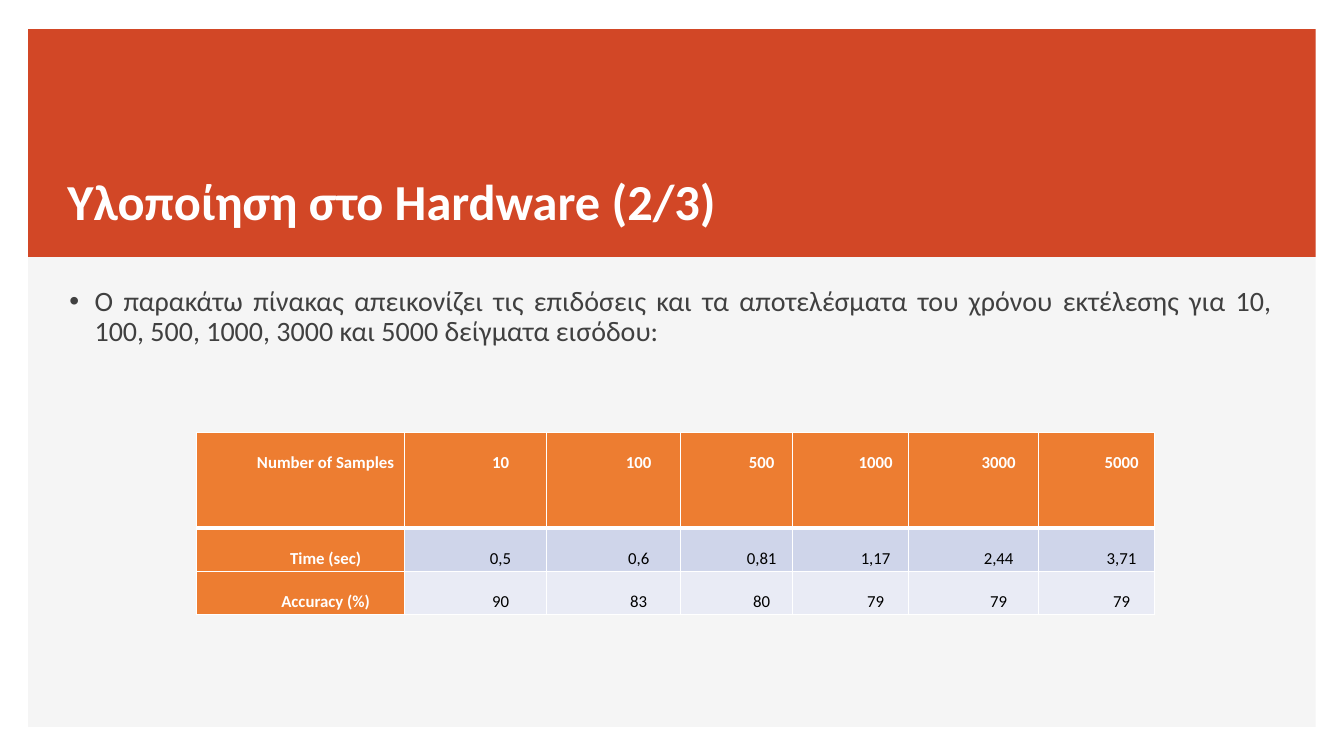
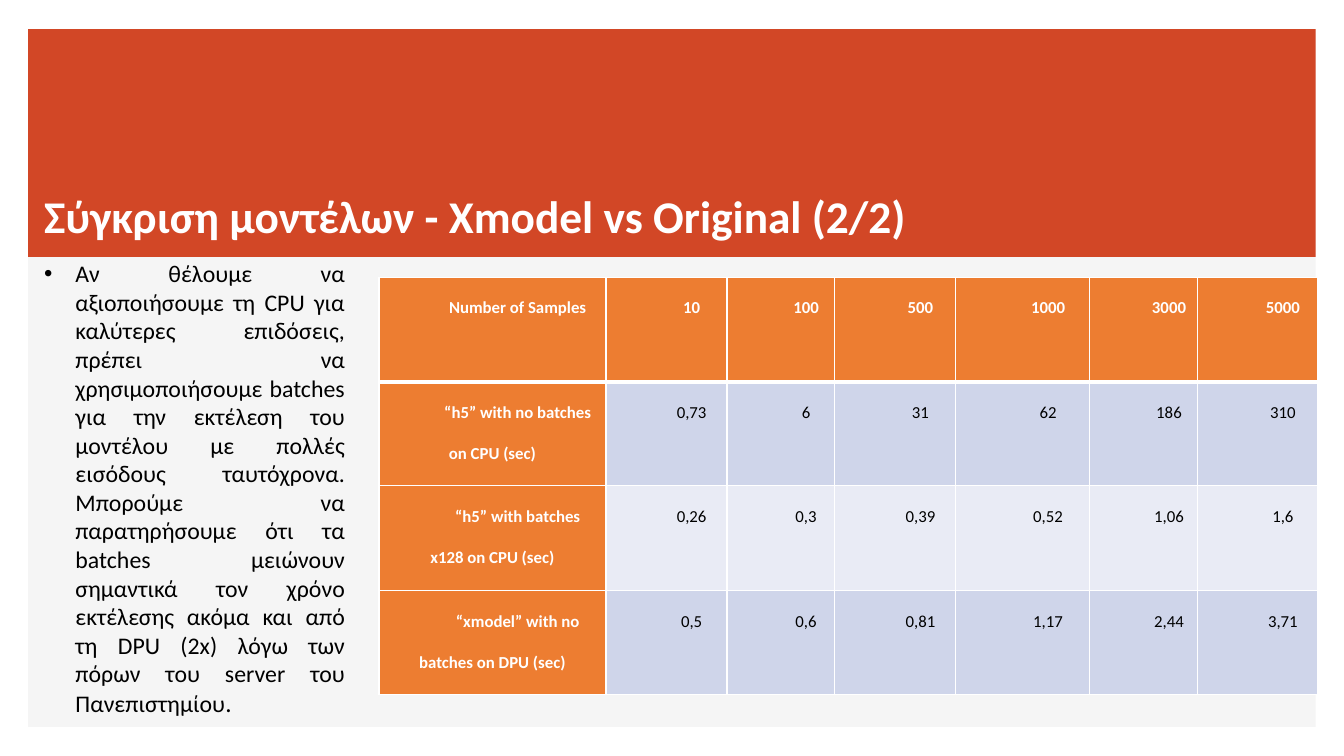
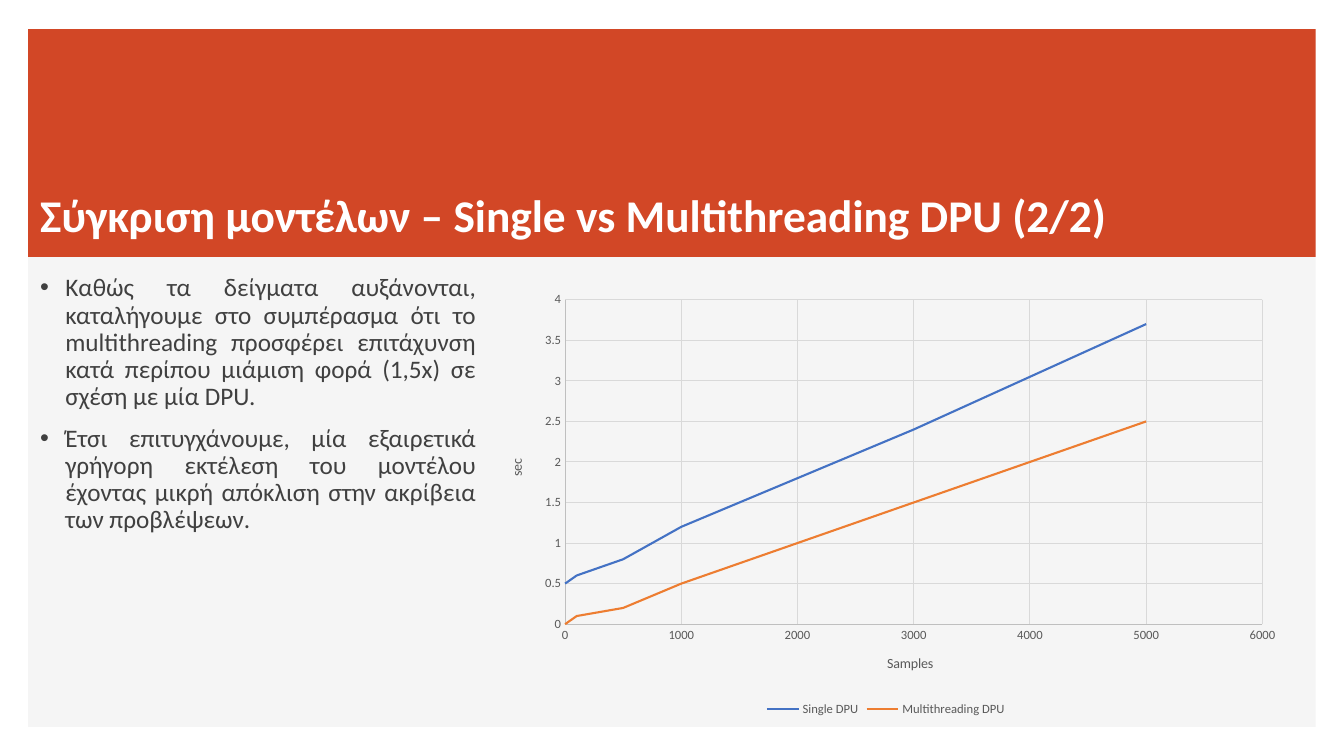
import pptx
import pptx.chart.data
import pptx.dml.color
import pptx.enum.chart
import pptx.enum.shapes
import pptx.enum.text
import pptx.oxml
import pptx.oxml.ns
import pptx.util
from lxml import etree
from pptx.util import Inches, Pt

FONT = "Calibri"
WHITE, BLACK, BODY_GREY, CHART_GREY = "FFFFFF", "000000", "404040", "595959"
PANEL, BAND = "F5F5F5", "D24726"
BLUE, ORANGE = "4472C4", "ED7D31"
ROW_TINTS = ["CFD5EA", "E9EBF5"]
AXIS_LINE, GRID_LINE = "BFBFBF", "D9D9D9"

color = pptx.dml.color.RGBColor.from_string
qn = pptx.oxml.ns.qn
ALIGN = pptx.enum.text.PP_ALIGN
ANCHOR = pptx.enum.text.MSO_ANCHOR


def add_run(paragraph, text, size, ink, bold=False):
    span = paragraph.add_run()
    span.text = text
    span.font.name = FONT
    span.font.size = Pt(size)
    span.font.bold = bold
    span.font.color.rgb = color(ink)


def set_indent(paragraph, left, first_line, bullet=None):
    """Set the left margin and first-line indent in inches, and the bullet sign."""
    properties = paragraph._p.get_or_add_pPr()
    properties.set("marL", str(Inches(left)))
    properties.set("indent", str(Inches(first_line)))
    if bullet:
        etree.SubElement(properties, qn("a:buFont")).set("typeface", "Arial")
        etree.SubElement(properties, qn("a:buChar")).set("char", bullet)


deck = pptx.Presentation()
deck.slide_width, deck.slide_height = Inches(13.33), Inches(7.5)

# Each slide: title, its place and size; then the bullets, each a list of (text, size)
pages = [
    {
        "title": "Υλοποίηση στο Hardware (2/3)",
        "title_at": (0.57, 1.68, 9.84, 0.7), "title_size": 36,
        "body_at": (0.59, 2.8, 12.13, 4.35),
        "ink": BODY_GREY, "indent": 0.25, "spacing": 0.9,
        "bullets": [[(
            "Ο παρακάτω πίνακας απεικονίζει τις επιδόσεις και τα αποτελέσματα του "
            "χρόνου εκτέλεσης για 10, 100, 500, 1000, 3000 και 5000 δείγματα εισόδου:", 20)]],
    },
    {
        "title": "Σύγκριση μοντέλων - Xmodel vs Original (2/2)",
        "title_at": (0.34, 1.82, 8.93, 0.7), "title_size": 32.4,
        "body_at": (0.34, 2.52, 3.18, 4.7),
        "ink": BLACK, "indent": 0.31, "spacing": 1.0,
        "bullets": [[(
            "Αν θέλουμε να αξιοποιήσουμε τη CPU για καλύτερες επιδόσεις, πρέπει να "
            "χρησιμοποιήσουμε batches για την εκτέλεση του μοντέλου με πολλές εισόδους "
            "ταυτόχρονα. Μπορούμε να παρατηρήσουμε ότι τα batches μειώνουν σημαντικά τον "
            "χρόνο εκτέλεσης ακόμα και από τη DPU (2x) λόγω των πόρων του server του "
            "Πανεπιστημίου", 17), (".", 18)]],
    },
    {
        "title": "Σύγκριση μοντέλων – Single vs Multithreading DPU (2/2)",
        "title_at": (0.3, 1.81, 10.87, 0.7), "title_size": 32.4,
        "body_at": (0.3, 2.68, 4.52, 4.82),
        "ink": BODY_GREY, "indent": 0.25, "spacing": 0.9,
        "bullets": [
            [("Καθώς τα δείγματα αυξάνονται, καταλήγουμε στο συμπέρασμα ότι το "
              "multithreading προσφέρει επιτάχυνση κατά περίπου μιάμιση φορά (1,5x) σε "
              "σχέση με μία DPU.", 18)],
            [("Έτσι επιτυγχάνουμε, μία εξαιρετικά γρήγορη εκτέλεση του μοντέλου έχοντας "
              "μικρή απόκλιση στην ακρίβεια των προβλέψεων.", 18)],
        ],
    },
]

slides = []
for page in pages:
    slide = deck.slides.add_slide(deck.slide_layouts[6])
    slides.append(slide)
    for height, fill in [(6.92, PANEL), (2.26, BAND)]:
        panel = slide.shapes.add_shape(
            pptx.enum.shapes.MSO_SHAPE.RECTANGLE,
            Inches(0.28), Inches(0.29), Inches(12.77), Inches(height))
        panel.shadow.inherit = False
        panel.fill.solid()
        panel.fill.fore_color.rgb = color(fill)
        panel.line.fill.background()

    title = slide.shapes.add_textbox(*map(Inches, page["title_at"])).text_frame
    title.word_wrap = True
    title.vertical_anchor = ANCHOR.MIDDLE
    title.paragraphs[0].line_spacing = 0.9
    add_run(title.paragraphs[0], page["title"], page["title_size"], WHITE, bold=True)

    body = slide.shapes.add_textbox(*map(Inches, page["body_at"])).text_frame
    body.word_wrap = True
    for index, bullet in enumerate(page["bullets"]):
        para = body.add_paragraph() if index else body.paragraphs[0]
        para.alignment = ALIGN.JUSTIFY
        para.line_spacing = page["spacing"]
        para.space_before = Pt(10 if index else 0)
        set_indent(para, page["indent"], -page["indent"], "•")
        for text, size in bullet:
            add_run(para, text, size, page["ink"])

# Tables of run times
header = ["Number of Samples", "10", "100", "500", "1000", "3000", "5000"]
dpu_times = ["0,5", "0,6", "0,81", "1,17", "2,44", "3,71"]
tables = [
    (slides[0], (1.95, 4.29),
     [2.06, 1.41, 1.33, 1.11, 1.15, 1.29, 1.15], [0.95, 0.43, 0.43],
     [header,
      ["Time (sec)"] + dpu_times,
      ["Accuracy (%)", "90", "83", "80", "79", "79", "79"]]),
    (slides[1], (3.76, 2.75),
     [2.25, 1.2, 1.07, 1.2, 1.33, 1.07, 1.19], [1.04, 1.03, 1.04, 1.03],
     [header,
      ["“h5” with no batches on CPU (sec)", "0,73", "6", "31", "62", "186", "310"],
      ["“h5” with batches x128 on CPU (sec)", "0,26", "0,3", "0,39", "0,52", "1,06", "1,6"],
      ["“xmodel” with no batches on DPU (sec)"] + dpu_times]),
]
for slide, (left, top), widths, heights, rows in tables:
    table = slide.shapes.add_table(
        len(rows), len(widths), Inches(left), Inches(top),
        Inches(sum(widths)), Inches(sum(heights))).table
    table.horz_banding = False
    for column, width in zip(table.columns, widths):
        column.width = Inches(width)
    for row_index, (row, height) in enumerate(zip(rows, heights)):
        table.rows[row_index].height = Inches(height)
        for column_index, text in enumerate(row):
            cell = table.cell(row_index, column_index)
            cell.margin_left = cell.margin_right = Inches(0.08)
            cell.margin_top = cell.margin_bottom = 0
            is_heading = row_index == 0 or column_index == 0

            thick_side = {0: "lnB", 1: "lnT"}.get(row_index)
            for side in ["lnL", "lnR", "lnT", "lnB"]:
                border = etree.SubElement(cell._tc.get_or_add_tcPr(), qn("a:" + side))
                border.set("w", str(Pt(3 if side == thick_side else 1)))
                fill = etree.SubElement(border, qn("a:solidFill"))
                etree.SubElement(fill, qn("a:srgbClr")).set("val", WHITE)
            cell.fill.solid()
            cell.fill.fore_color.rgb = color(
                ORANGE if is_heading else ROW_TINTS[(row_index - 1) % 2])

            para = cell.text_frame.paragraphs[0]
            para.alignment = ALIGN.CENTER
            para.line_spacing = 2.0
            set_indent(para, 0, 0.5)
            add_run(para, text, 12, WHITE if is_heading else BLACK, bold=is_heading)

# Chart of run time against samples
chart_data = pptx.chart.data.XyChartData()
samples = [0, 100, 500, 1000, 3000, 5000]
run_times = [
    ("Single DPU", [0.5, 0.6, 0.8, 1.2, 2.4, 3.7]),
    ("Multithreading DPU", [0, 0.1, 0.2, 0.5, 1.5, 2.5]),
]
for name, times in run_times:
    points = chart_data.add_series(name)
    for count, seconds in zip(samples, times):
        points.add_data_point(count, seconds)
chart = slides[2].shapes.add_chart(
    pptx.enum.chart.XL_CHART_TYPE.XY_SCATTER_LINES_NO_MARKERS,
    Inches(4.81), Inches(2.8), Inches(7.95), Inches(4.35), chart_data).chart
chart.font.name = FONT
chart.font.size = Pt(10)
chart.font.color.rgb = color(BLACK)
chart.has_title = False
chart.has_legend = True
chart.legend.position = pptx.enum.chart.XL_LEGEND_POSITION.BOTTOM
chart.legend.include_in_layout = False
chart.legend.font.name = FONT
chart.legend.font.size = Pt(9)
chart.legend.font.color.rgb = color(CHART_GREY)

chart.plots[0].vary_by_categories = False
for series, ink in zip(chart.plots[0].series, [BLUE, ORANGE]):
    series.smooth = False
    series.marker.style = pptx.enum.chart.XL_MARKER_STYLE.NONE
    series.format.line.color.rgb = color(ink)
    series.format.line.width = Pt(1.5)

axes = [
    (chart.category_axis, "Samples", 6000, 1000),
    (chart.value_axis, "sec", 4, 0.5),
]
for axis, name, maximum, step in axes:
    axis.minimum_scale, axis.maximum_scale, axis.major_unit = 0, maximum, step
    axis.major_tick_mark = axis.minor_tick_mark = pptx.enum.chart.XL_TICK_MARK.NONE
    axis.tick_labels.number_format = "General"
    axis.tick_labels.number_format_is_linked = False
    axis.tick_labels.font.name = FONT
    axis.tick_labels.font.size = Pt(9)
    axis.tick_labels.font.color.rgb = color(CHART_GREY)
    axis.has_major_gridlines = True
    for line, ink in [(axis.format.line, AXIS_LINE),
                      (axis.major_gridlines.format.line, GRID_LINE)]:
        line.color.rgb = color(ink)
        line.width = Pt(0.75)
    add_run(axis.axis_title.text_frame.paragraphs[0], name, 10, CHART_GREY)

# Fixed place of the plot, as shares of the chart's width and height
plot_area = chart._chartSpace.chart.plotArea
for old_layout in plot_area.findall(qn("c:layout")):
    plot_area.remove(old_layout)
layout = etree.Element(qn("c:layout"))
plot_area.insert(0, layout)
manual = etree.SubElement(layout, qn("c:manualLayout"))
for tag, value in [("layoutTarget", "inner"), ("xMode", "edge"), ("yMode", "edge"),
                   ("x", "0.1"), ("y", "0.04"), ("w", "0.87"), ("h", "0.74")]:
    etree.SubElement(manual, qn("c:" + tag)).set("val", value)

deck.save("out.pptx")
